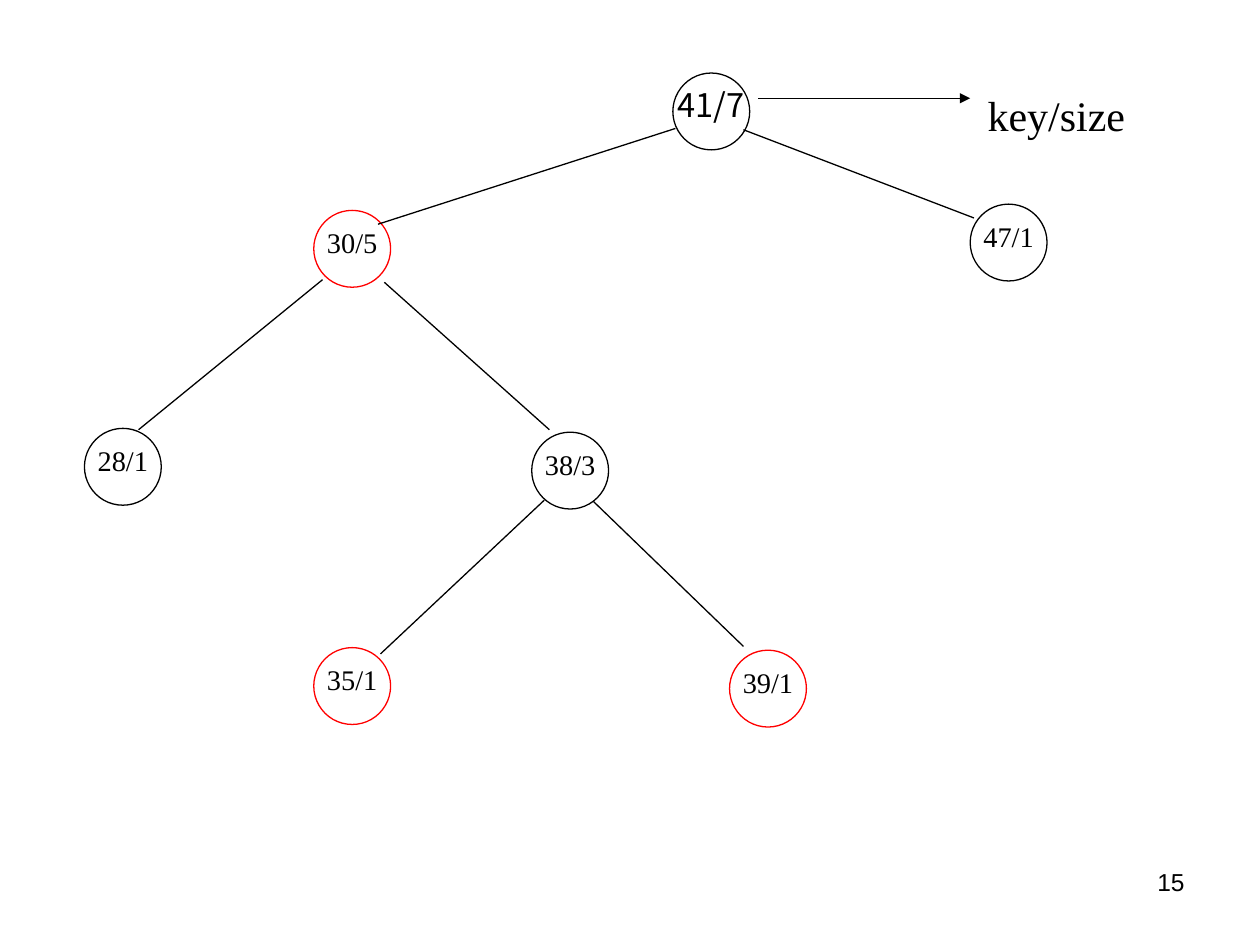
from lxml.etree import SubElement
from pptx import Presentation
from pptx.dml.color import RGBColor
from pptx.enum.shapes import MSO_CONNECTOR, MSO_SHAPE
from pptx.enum.text import MSO_ANCHOR, PP_ALIGN
from pptx.oxml.ns import qn
from pptx.util import Inches, Pt

BLACK = RGBColor(0x00, 0x00, 0x00)
RED = RGBColor(0xFF, 0x00, 0x00)
WHITE = RGBColor(0xFF, 0xFF, 0xFF)
SERIF = "Times New Roman"
LINE_WIDTH = Pt(0.75)
SLIDE_WIDTH, SLIDE_HEIGHT = Inches(10), Inches(7.5)
NODE_SIZE = int(SLIDE_WIDTH * 0.061)

# Label, centre in percent of the slide's width and height, outline
CHILD_NODES = [
    ("30/5", 27.95, 26.33, RED),
    ("47/1", 80.05, 25.67, BLACK),
    ("38/3", 45.25, 49.8, BLACK),
    ("28/1", 9.75, 49.4, BLACK),
    ("35/1", 27.95, 72.6, RED),
    ("39/1", 60.95, 72.87, RED),
]
# Start and end of each edge, in percent of the slide's width and height
EDGES = [
    ((53.6, 13.6), (30, 23.73)),
    ((59, 13.73), (77.3, 23.07)),
    ((25.6, 29.6), (11, 45.47)),
    ((30.5, 29.87), (43.6, 45.47)),
    ((43.2, 52.93), (30.2, 69.2)),
    ((47.1, 53.07), (59, 68.4)),
]


def across(percent):
    return int(SLIDE_WIDTH * percent / 100)


def down(percent):
    return int(SLIDE_HEIGHT * percent / 100)


def add_run(paragraph, text, size, font_name):
    run = paragraph.add_run()
    run.text = text
    run.font.size = Pt(size)
    run.font.name = font_name
    run.font.color.rgb = BLACK
    properties = run.font._element
    for tag in ("a:ea", "a:cs"):
        SubElement(properties, qn(tag)).set("typeface", font_name)
    return run


def add_node(slide, label, x, y, outline, size=28, font_name=SERIF):
    """Add a tree node centred on x, y with a raised label."""
    shape = slide.shapes.add_shape(
        MSO_SHAPE.OVAL, across(x) - NODE_SIZE // 2, down(y) - NODE_SIZE // 2,
        NODE_SIZE, NODE_SIZE)
    shape.shadow.inherit = False
    shape.fill.solid()
    shape.fill.fore_color.rgb = WHITE
    shape.line.color.rgb = outline
    shape.line.width = LINE_WIDTH
    frame = shape.text_frame
    frame.word_wrap = False
    frame.vertical_anchor = MSO_ANCHOR.MIDDLE
    paragraph = frame.paragraphs[0]
    paragraph.alignment = PP_ALIGN.CENTER
    run = add_run(paragraph, label, size, font_name)
    run.font._element.set("baseline", "30000")


def add_line(slide, start, end):
    connector = slide.shapes.add_connector(
        MSO_CONNECTOR.STRAIGHT,
        across(start[0]), down(start[1]), across(end[0]), down(end[1]))
    connector.line.color.rgb = BLACK
    connector.line.width = LINE_WIDTH
    SubElement(connector._element.spPr, qn("a:effectLst"))
    return connector


def add_arrow(slide, start, end):
    outline = add_line(slide, start, end).line._get_or_add_ln()
    SubElement(outline, qn("a:tailEnd")).set("type", "triangle")


def add_text(slide, text, left, top, width, height, size, font_name, alignment):
    box = slide.shapes.add_textbox(
        across(left), down(top), across(width), down(height))
    box.text_frame.word_wrap = True
    paragraph = box.text_frame.paragraphs[0]
    paragraph.alignment = alignment
    add_run(paragraph, text, size, font_name)


def main():
    presentation = Presentation()
    presentation.slide_width = SLIDE_WIDTH
    presentation.slide_height = SLIDE_HEIGHT
    slide = presentation.slides.add_slide(presentation.slide_layouts[6])

    add_text(slide, "key/size", 77.4, 8.8, 20.3, 6.4, 24, SERIF, PP_ALIGN.LEFT)
    add_node(slide, "41/7", 56.45, 11.8, BLACK, 32, "Noto Sans CJK SC")
    for label, x, y, outline in CHILD_NODES:
        add_node(slide, label, x, y, outline)
    for start, end in EDGES:
        add_line(slide, start, end)
    add_arrow(slide, (60.2, 10.4), (77, 10.4))
    add_text(slide, "15", 71.7, 91.07, 23.3, 6.93, 14, "Arial", PP_ALIGN.RIGHT)

    presentation.save("out.pptx")


if __name__ == "__main__":
    main()
